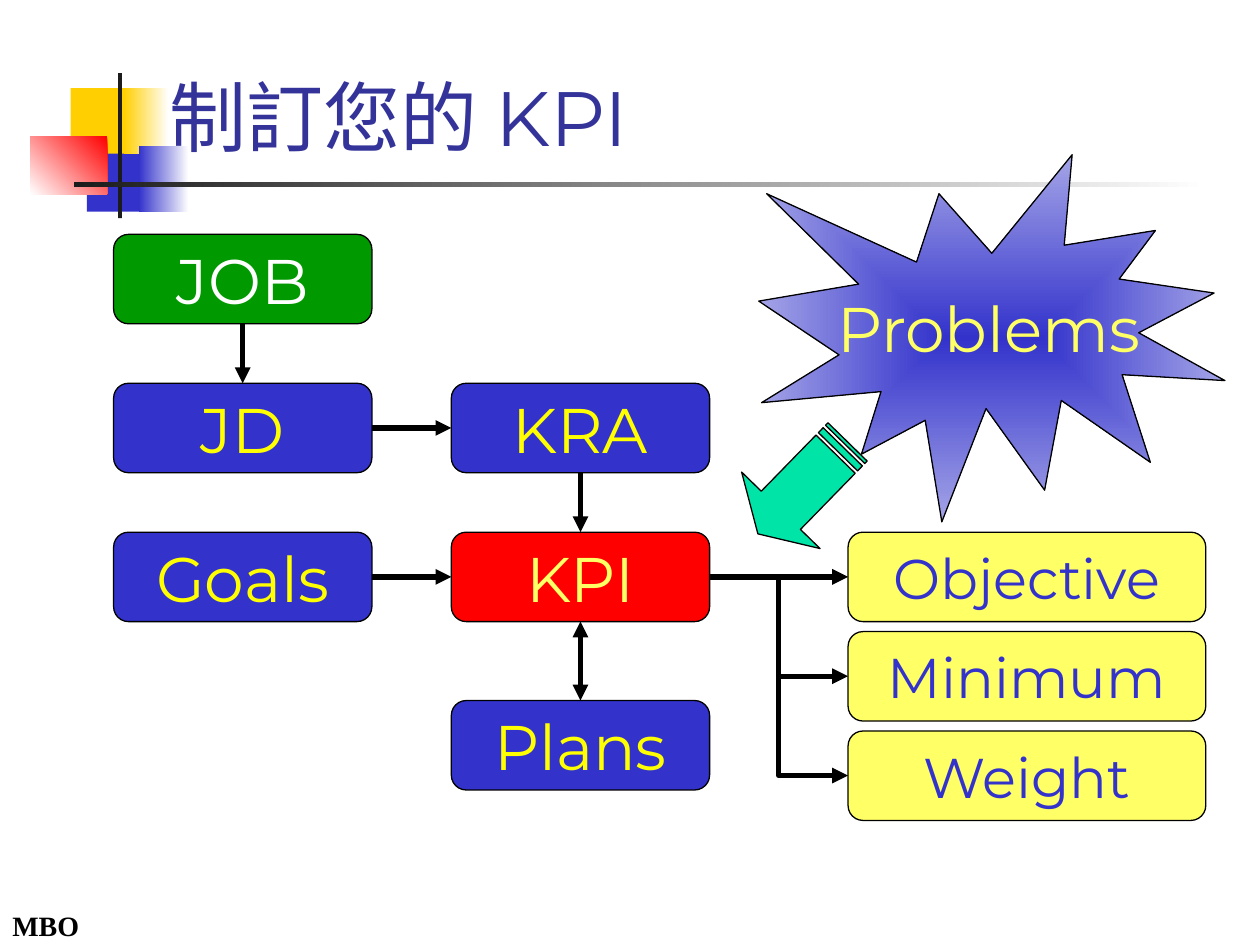
import pptx
import pptx.dml.color
import pptx.enum.shapes
import pptx.enum.text
import pptx.oxml
import pptx.oxml.ns
import pptx.util
from lxml import etree

Pt = pptx.util.Pt
SHAPE = pptx.enum.shapes.MSO_SHAPE
CONNECTOR = pptx.enum.shapes.MSO_CONNECTOR
ALIGN = pptx.enum.text.PP_ALIGN
ANCHOR = pptx.enum.text.MSO_ANCHOR
qn = pptx.oxml.ns.qn

COLORS = {
    "white": "FFFFFF", "black": "000000", "charcoal": "1C1C1C",
    "blue": "3333CC", "title blue": "333399", "pale blue": "A4A4E7",
    "gold": "FFCF01", "red": "FF0000", "green": "009900", "mint": "00E4A8",
    "yellow": "FFFF00", "soft yellow": "FFFF66",
}
BODY_FONT = "Montserrat"

COLUMNS = (64.9, 257.9, 484.6)
ROW_TOP, ROW_STEP = 133.9, 85.1
BOX_WIDTH, MEASURE_WIDTH, BOX_HEIGHT = 147.6, 204.4, 51.1
MEASURE_STEP = 56.8
PLANS_TOP = 400.3

# Connection sites of a box
TOP, LEFT, BOTTOM, RIGHT = range(4)


def rgb(name):
    return pptx.dml.color.RGBColor.from_string(COLORS[name])


def write_text(shape, runs, size, color, bold=False, align=ALIGN.LEFT,
               anchor=ANCHOR.TOP, wrap=False, space_before=0):
    """Fill a shape with one paragraph made of (text, font name) runs."""
    frame = shape.text_frame
    frame.word_wrap = wrap
    frame.vertical_anchor = anchor
    paragraph = frame.paragraphs[0]
    paragraph.alignment = align
    paragraph.space_before = Pt(space_before)
    for text, font_name in runs:
        run = paragraph.add_run()
        run.text = text
        run.font.name = font_name
        run.font.size = Pt(size)
        run.font.bold = bold
        run.font.color.rgb = rgb(color)


def add_text(slide, box, runs, **text_format):
    write_text(slide.shapes.add_textbox(*map(Pt, box)), runs, **text_format)


def add_shape(slide, kind, box, fill, outlined=True):
    """Add a preset shape; fill is one color name or a pair for a gradient."""
    shape = slide.shapes.add_shape(kind, *map(Pt, box))
    shape.shadow.inherit = False
    if isinstance(fill, str):
        shape.fill.solid()
        shape.fill.fore_color.rgb = rgb(fill)
    else:
        shape.fill.gradient()
        for stop, name in zip(shape.fill.gradient_stops, fill):
            stop.color.rgb = rgb(name)
    if outlined:
        shape.line.color.rgb = rgb("black")
        shape.line.width = Pt(0.75)
    else:
        shape.line.fill.background()
    return shape


def make_gradient_radiate(shape):
    """Turn a linear gradient into one that spreads from the centre."""
    gradient = shape.element.spPr.find(qn("a:gradFill"))
    linear = gradient.find(qn("a:lin"))
    radial = etree.Element(qn("a:path"), {"path": "rect"})
    etree.SubElement(radial, qn("a:fillToRect"),
                     {side: "50000" for side in "ltrb"})
    gradient.replace(linear, radial)


def add_box(slide, label, left, top, fill="blue", color="yellow",
            width=BOX_WIDTH, size=36):
    shape = add_shape(slide, SHAPE.FLOWCHART_ALTERNATE_PROCESS,
                      (left, top, width, BOX_HEIGHT), fill)
    write_text(shape, [(label, BODY_FONT)], size=size, color=color,
               align=ALIGN.CENTER, anchor=ANCHOR.MIDDLE)
    return shape


def add_arrow(slide, start, start_site, end, end_site,
              kind=CONNECTOR.STRAIGHT, both_ends=False):
    connector = slide.shapes.add_connector(kind, 0, 0, 0, 0)
    connector.begin_connect(start, start_site)
    connector.end_connect(end, end_site)
    connector.line.color.rgb = rgb("black")
    connector.line.width = Pt(3)
    line = connector.line._get_or_add_ln()
    for tag in ("a:headEnd", "a:tailEnd") if both_ends else ("a:tailEnd",):
        etree.SubElement(line, qn(tag), {"type": "triangle"})
    etree.SubElement(connector.element.spPr, qn("a:effectLst"))


def add_decoration(slide):
    blocks = (
        ((49.7, 83.5, 33.1, 37.4), "blue", None),
        ((40.3, 50.4, 34.6, 37.4), "gold", None),
        ((70.6, 50.4, 25.9, 37.4), ("white", "gold"), 180),
        ((79.2, 83.5, 28.8, 37.4), ("white", "blue"), 180),
        ((17.3, 77.8, 43.9, 33.1), ("red", "white"), 225),
        ((67.5, 41.8, 2.2, 82.8), "charcoal", None),
        ((42.5, 104.2, 648, 2.5), ("white", "charcoal"), 180),
    )
    for box, fill, angle in blocks:
        shape = add_shape(slide, SHAPE.RECTANGLE, box, fill, outlined=False)
        if angle is not None:
            shape.fill.gradient_angle = angle


def add_flow(slide):
    first, second, third = COLUMNS
    job_row, role_row, goal_row = (ROW_TOP + i * ROW_STEP for i in range(3))
    job = add_box(slide, "JOB", first, job_row, fill="green", color="white")
    jd = add_box(slide, "JD", first, role_row)
    kra = add_box(slide, "KRA", second, role_row)
    goals = add_box(slide, "Goals", first, goal_row)
    kpi = add_box(slide, "KPI", second, goal_row,
                  fill="red", color="soft yellow")
    plans = add_box(slide, "Plans", second, PLANS_TOP)
    measures = [
        add_box(slide, label, third, goal_row + i * MEASURE_STEP,
                fill="soft yellow", color="blue",
                width=MEASURE_WIDTH, size=32)
        for i, label in enumerate(("Objective", "Minimum", "Weight"))
    ]

    add_arrow(slide, job, BOTTOM, jd, TOP)
    add_arrow(slide, jd, RIGHT, kra, LEFT)
    add_arrow(slide, kra, BOTTOM, kpi, TOP)
    add_arrow(slide, goals, RIGHT, kpi, LEFT)
    add_arrow(slide, plans, TOP, kpi, BOTTOM, both_ends=True)
    for i, measure in enumerate(measures):
        kind = CONNECTOR.ELBOW if i else CONNECTOR.STRAIGHT
        add_arrow(slide, kpi, RIGHT, measure, LEFT, kind=kind)


def add_problems(slide):
    burst = add_shape(slide, SHAPE.EXPLOSION1, (433.6, 88.4, 266.4, 209.8),
                      ("blue", "pale blue"))
    make_gradient_radiate(burst)
    write_text(burst, [("Problems", BODY_FONT)], size=36, color="soft yellow",
               align=ALIGN.CENTER, anchor=ANCHOR.MIDDLE)
    arrow = add_shape(slide, SHAPE.STRIPED_RIGHT_ARROW,
                      (422, 247.5, 73.4, 62.6), "mint")
    arrow.adjustments[0] = 0.5
    arrow.adjustments[1] = 0.3
    arrow.rotation = 134.3


def main():
    presentation = pptx.Presentation()
    presentation.slide_width = Pt(720)
    presentation.slide_height = Pt(540)
    slide = presentation.slides.add_slide(presentation.slide_layouts[6])
    add_decoration(slide)
    add_text(slide, (0, 515.5, 99.4, 26.6), [("MBO", "Times New Roman")],
             size=16, color="black", bold=True, wrap=True, space_before=10)
    add_text(slide, (90, 23.8, 613.4, 72),
             [("制訂您的 ", "Karla"), ("KPI", BODY_FONT)],
             size=44, color="title blue", anchor=ANCHOR.BOTTOM, wrap=True)
    add_flow(slide)
    add_problems(slide)
    presentation.save("out.pptx")


if __name__ == "__main__":
    main()
